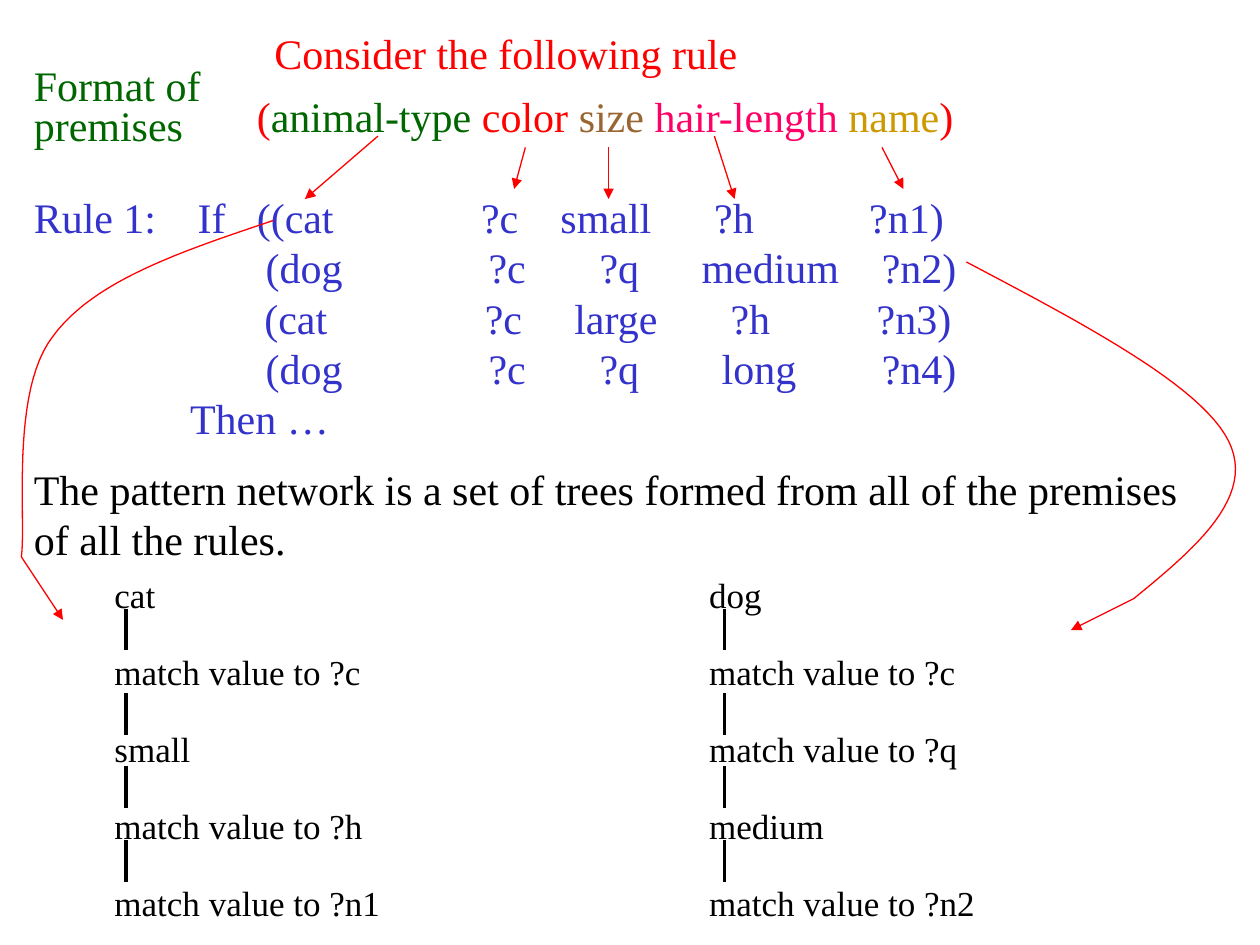
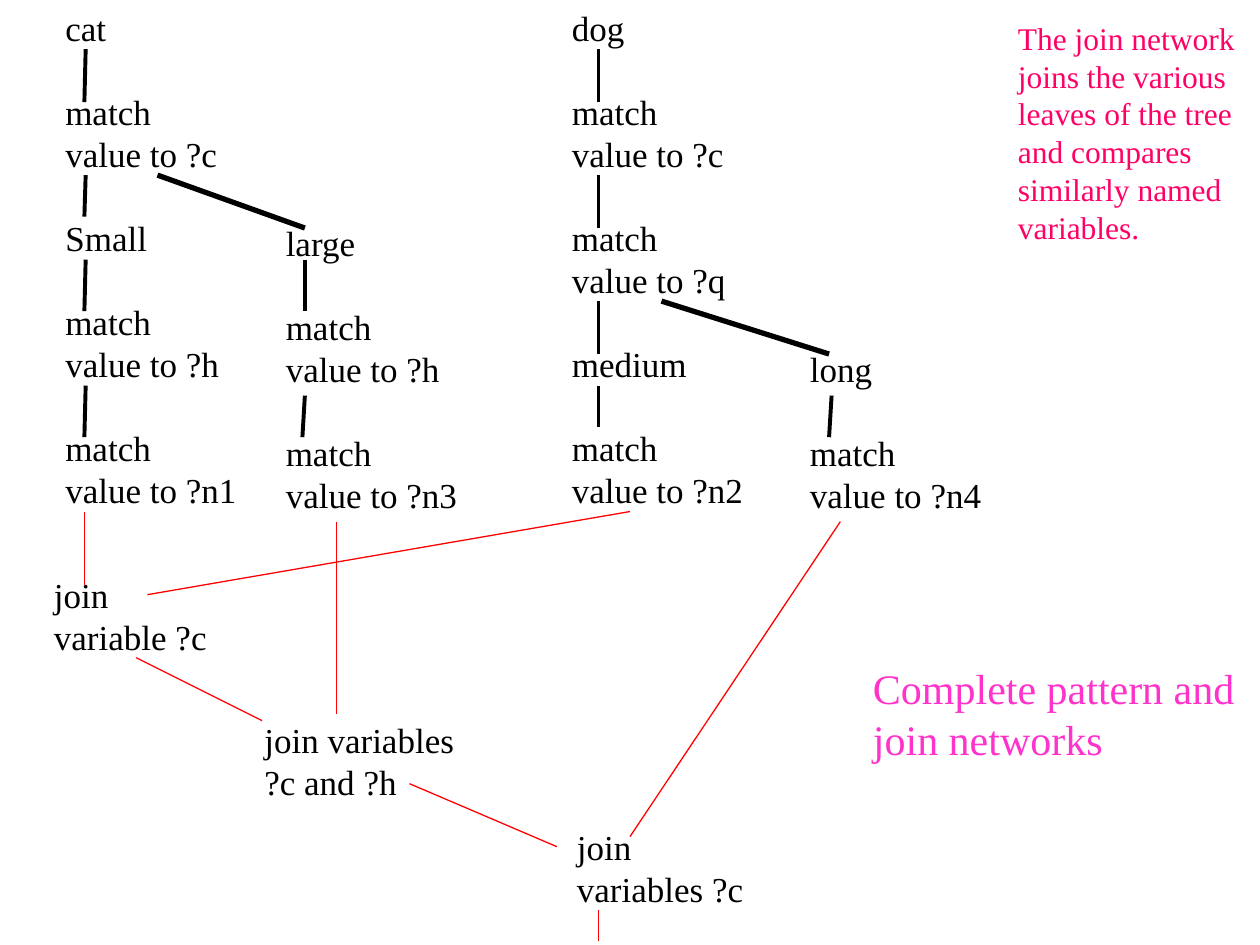
import pptx
import pptx.util
import pptx.dml.color
import pptx.enum.shapes
import pptx.enum.text
import lxml.etree
from pptx.oxml.ns import qn

Inches = pptx.util.Inches
Pt = pptx.util.Pt

BLACK = "000000"
RED = "FF0000"
GREEN = "006600"
BLUE = "3333CC"
BROWN = "996633"
PINK = "FF0066"
GOLD = "CC9900"
MAGENTA = "FF33CC"


def rgb(value):
    return pptx.dml.color.RGBColor.from_string(value)


def set_all(target, values):
    for name, value in values.items():
        setattr(target, name, value)


def bezier(start, curves, steps=24):
    points = [start]
    for c1, c2, end in curves:
        p0 = points[-1]
        for i in range(1, steps + 1):
            t = i / steps
            u = 1 - t
            points.append(tuple(
                u**3 * a + 3 * u * u * t * b + 3 * u * t * t * c + t**3 * d
                for a, b, c, d in zip(p0, c1, c2, end)))
    return points


class Deck:
    font = "Times New Roman"
    margins = {
        "margin_left": Inches(0.1),
        "margin_right": Inches(0.1),
        "margin_top": Inches(0.05),
        "margin_bottom": Inches(0.05),
    }

    def __init__(self):
        self.prs = pptx.Presentation()
        set_all(self.prs, {"slide_width": Inches(10), "slide_height": Inches(7.5)})
        self.s = None

    def slide(self):
        self.s = self.prs.slides.add_slide(self.prs.slide_layouts[6])

    def text(self, box, paragraphs, size=20, color=BLACK, wrap=True, **spacing):
        sp = self.s.shapes.add_textbox(*map(Inches, box))
        tf = sp.text_frame
        set_all(tf, self.margins | {
            "word_wrap": wrap,
            "auto_size": pptx.enum.text.MSO_AUTO_SIZE.SHAPE_TO_FIT_TEXT,
        })
        for i, runs in enumerate(paragraphs):
            p = tf.paragraphs[0] if i == 0 else tf.add_paragraph()
            set_all(p, spacing)
            for words, shade in [(runs, color)] if isinstance(runs, str) else runs:
                r = p.add_run()
                r.text = words
                set_all(r.font, {"name": self.font, "size": Pt(size)})
                r.font.color.rgb = rgb(shade)
        return tf

    def tabbed(self, box, rows, size, color):
        tf = self.text(box, ["\t".join(words) for words, stops in rows], size, color)
        for p, (words, stops) in zip(tf.paragraphs, rows):
            tabs = lxml.etree.SubElement(p._p.get_or_add_pPr(), qn("a:tabLst"))
            for stop in stops:
                lxml.etree.SubElement(tabs, qn("a:tab"), pos=str(Inches(stop)), algn="l")

    def tree(self, left, top, height, nodes):
        lines = [line for node in nodes for line in node]
        tf = self.text((left, top, 1.56, height), lines, wrap=False)
        first = 0
        for node in nodes[:-1]:
            first += len(node)
            tf.paragraphs[first].space_before = Pt(24)

    def line(self, x1, y1, x2, y2, color=RED, width=0.75, arrow=False):
        sp = self.s.shapes.add_connector(
            pptx.enum.shapes.MSO_CONNECTOR.STRAIGHT, *map(Inches, (x1, y1, x2, y2)))
        sp.line.color.rgb = rgb(color)
        sp.line.width = Pt(width)
        if arrow:
            lxml.etree.SubElement(sp.line._get_or_add_ln(), qn("a:tailEnd"), type="triangle")
        lxml.etree.SubElement(sp._element.spPr, qn("a:effectLst"))

    def curve(self, start, curves):
        points = [tuple(map(Inches, point)) for point in bezier(start, curves)]
        builder = self.s.shapes.build_freeform(*points[0])
        builder.add_line_segments(points[1:], close=False)
        sp = builder.convert_to_shape()
        sp.shadow.inherit = False
        sp.fill.background()
        sp.line.color.rgb = rgb(RED)
        sp.line.width = Pt(0.75)


def rule_slide(deck):
    deck.slide()
    deck.text((2.08, 0.17, 5.58, 0.5), ["Consider the following rule"], 24, RED)
    rule = [
        (["Rule 1:", "If", "((cat", "?c", "small", "?h", "?n1)"],
         [1.3, 1.77, 3.55, 4.18, 5.4, 6.63]),
        (["", "(dog", "?c", "?q", "medium", "?n2)"], [1.84, 3.61, 4.49, 5.3, 6.73]),
        (["", "(cat", "?c", "large", "?h", "?n3)"], [1.83, 3.58, 4.29, 5.53, 6.69]),
        (["", "(dog", "?c", "?q", "long", "?n4)"], [1.84, 3.61, 4.49, 5.46, 6.73]),
        (["", "Then …"], [1.24]),
    ]
    deck.tabbed((0.17, 1.47, 7.7, 2.1), rule, 24, BLUE)
    deck.text((0.17, 0.5, 1.58, 0.74), ["Format of premises"], 24, GREEN, line_spacing=0.8)
    premise = [("(", RED), ("animal-type", GREEN), (" color ", RED), ("size ", BROWN),
               ("hair-length ", PINK), ("name", GOLD), (")", RED)]
    deck.text((1.94, 0.67, 5.82, 0.5), [premise], 24, wrap=False)
    for ends in [(3, 1.08, 2.42, 1.58), (4.17, 1.17, 4.08, 1.5), (4.83, 1.17, 4.83, 1.58),
                 (5.67, 1.08, 5.83, 1.58), (7, 1.17, 7.17, 1.5)]:
        deck.line(*ends, arrow=True)

    deck.text((0.17, 3.63, 9.52, 0.9), [
        "The pattern network is a set of trees formed from all of the premises "
        "of all the rules."], 24)
    branches = [
        (0.81, 1, ["cat", "match value to ?c", "small", "match value to ?h",
                   "match value to ?n1"]),
        (5.53, 5.75, ["dog", "match value to ?c", "match value to ?q", "medium",
                      "match value to ?n2"]),
    ]
    for left, x, nodes in branches:
        deck.text((left, 4.5, 2.31, 2.88), nodes, wrap=False, space_before=Pt(20))
        for y in (4.83, 5.5, 6.08, 6.67):
            deck.line(x, y, x, y + 0.33, BLACK, 2.25)

    deck.curve((2.17, 1.75), [((1.46, 1.99), (0.75, 2.22), (0.42, 2.67)),
                              ((0.08, 3.11), (0.21, 4.12), (0.17, 4.42))])
    deck.line(0.17, 4.42, 0.5, 4.92, arrow=True)
    deck.curve((7.67, 2.08), [((8.6, 2.57), (9.53, 3.06), (9.75, 3.5)),
                              ((9.97, 3.94), (9.49, 4.35), (9, 4.75))])
    deck.line(9, 4.75, 8.5, 5, arrow=True)


def network_slide(deck):
    deck.slide()

    def match(variable):
        return ["match", f"value to {variable}"]

    deck.tree(0.42, 0, 4.1, [["cat"], match("?c"), ["Small"], match("?h"), match("?n1")])
    deck.tree(2.17, 1.71, 2.44, [["large"], match("?h"), match("?n3")])
    deck.tree(4.44, 0, 4.1, [["dog"], match("?c"), match("?q"), ["medium"], match("?n2")])
    deck.tree(6.33, 2.71, 1.44, [["long"], match("?n4")])

    links = [
        (0.68, 0.67, [(0.39, 0.81), (1.39, 1.72), (2.06, 2.47), (3.06, 3.47)]),
        (2.42, 2.42, [(2.06, 2.47)]),
        (2.42, 2.4, [(3.14, 3.47)]),
        (4.75, 4.75, [(0.39, 0.81), (1.39, 1.81), (2.39, 2.81), (3.06, 3.39)]),
        (6.6, 6.58, [(3.14, 3.47)]),
    ]
    for x1, x2, spans in links:
        for y1, y2 in spans:
            deck.line(x1, y1, x2, y2, BLACK, 2.25)
    for ends in [(1.25, 1.39, 2.42, 1.81), (5.25, 2.39, 6.58, 2.81)]:
        deck.line(*ends, BLACK, 3)

    for ends in [(0.67, 4.06, 0.67, 4.64), (1.17, 4.72, 5, 4.06), (1.08, 5.22, 2.08, 5.72),
                 (2.67, 4.14, 2.67, 5.67), (3.25, 6.22, 4.42, 6.72), (6.67, 4.14, 5, 6.64),
                 (4.75, 7.22, 4.75, 7.47)]:
        deck.line(*ends)
    deck.text((0.33, 4.5, 1.5, 0.77), ["join", "variable ?c"])
    deck.text((2, 5.65, 1.83, 0.77), ["join variables", "?c and ?h"])
    deck.text((4.48, 6.5, 1.52, 0.77), ["join", "variables ?c"], wrap=False)

    deck.text((7.98, 0.1, 2.02, 1.9), [
        "The join network joins the various leaves of the tree and compares "
        "similarly named variables."], 18, PINK)
    deck.text((6.83, 5.21, 3.15, 0.9), ["Complete pattern and", "join networks"], 24,
              MAGENTA, wrap=False)


def main():
    deck = Deck()
    rule_slide(deck)
    network_slide(deck)
    deck.prs.save("out.pptx")


if __name__ == "__main__":
    main()
